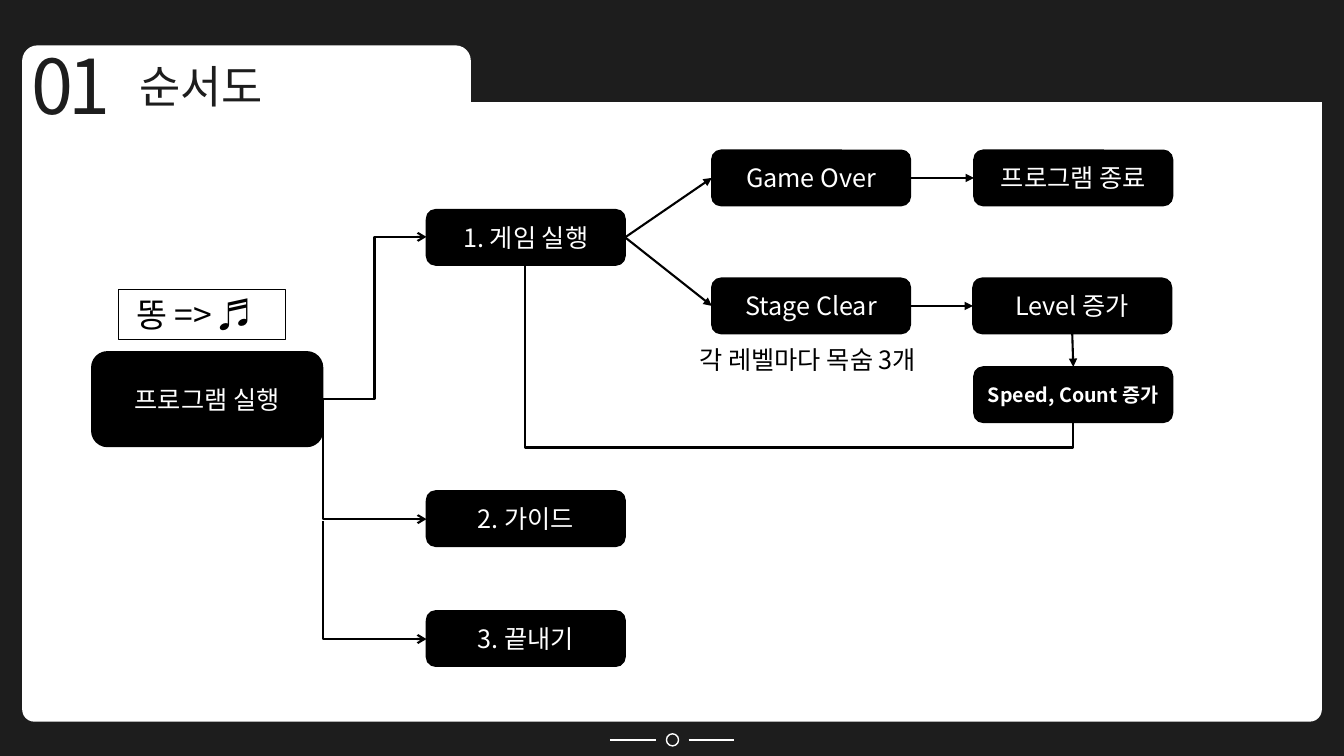
from lxml.etree import SubElement
from pptx import Presentation
from pptx.dml.color import RGBColor
from pptx.enum.shapes import MSO_CONNECTOR as LINK, MSO_SHAPE as SHAPE
from pptx.enum.text import MSO_ANCHOR as ANCHOR, MSO_AUTO_SIZE as FIT, PP_ALIGN as ALIGN
from pptx.oxml.ns import qn
from pptx.util import Inches, Pt

INK = RGBColor(0x1D, 0x1D, 0x1D)
BLACK = RGBColor(0, 0, 0)
WHITE = RGBColor(255, 255, 255)
FONT = "Noto Sans CJK KR"

# Content: name -> text, left, top
TITLE, NUMBER = "순서도", "01"
KEY = "똥 => ♬"
NOTE = "각 레벨마다 목숨 3개"
BOX_W, BOX_H = 1.97, 0.55
START = ("프로그램 실행", 0.91, 3.49, 2.29, 0.94)
STEPS = {
    "game": ("1. 게임 실행", 4.23, 2.08),
    "over": ("Game Over", 7.06, 1.49),
    "clear": ("Stage Clear", 7.06, 2.76),
    "level": ("Level 증가", 9.65, 2.76),
    "speed": ("Speed, Count 증가", 9.66, 3.64),
    "quit": ("프로그램 종료", 9.66, 1.49),
    "guide": ("2. 가이드", 4.23, 4.87),
    "end": ("3. 끝내기", 4.23, 6.06),
}
SMALL = {"speed": {"size": Pt(14), "bold": True}}
# Straight arrows: from, side, to, side (0 top, 1 left, 2 bottom, 3 right)
ARROWS = [
    ("game", 3, "over", 1),
    ("game", 3, "clear", 1),
    ("clear", 3, "level", 1),
    ("level", 2, "speed", 0),
    ("over", 3, "quit", 1),
]
# Elbows: start, end, preset, turn, bend, arrowhead
ELBOWS = [
    ((10.64, 4.19), (5.21, 2.63), "bentConnector3", 90, -0.16, None),
    ((3.2, 3.96), (4.23, 2.35), "bentConnector3", 0, 0.5, "arrow"),
    ((3.2, 3.97), (4.23, 5.15), "bentConnector2", 270, None, "arrow"),
    ((3.2, 5.17), (4.23, 6.34), "bentConnector2", 270, None, "arrow"),
]
# Frame: left, top, width, height, corner, fill
FRAME = [
    (0.22, 0.5, 12.89, 6.66, 0.018, WHITE),
    (3.75, 0.49, 9.48, 0.52, 0.048, INK),
    (0.22, 0.45, 4.45, 0.79, 0.192, WHITE),
]

deck = Presentation()
deck.slide_width, deck.slide_height = Inches(13.33), Inches(7.5)
slide = deck.slides.add_slide(deck.slide_layouts[5])
slide.background.fill.solid()
slide.background.fill.fore_color.rgb = INK
shapes = slide.shapes


def write(shape, text, align=ALIGN.LEFT, anchor=ANCHOR.TOP, wrap=True, **style):
    frame = shape.text_frame
    frame.auto_size = FIT.NONE
    frame.word_wrap, frame.vertical_anchor = wrap, anchor
    para = frame.paragraphs[0]
    para.alignment = align
    run = para.add_run()
    run.text = text
    font = run.font
    font.color.rgb = style.pop("color", BLACK)
    for key, value in {"name": FONT, "size": Pt(18), **style}.items():
        setattr(font, key, value)
    SubElement(font._element, qn("a:ea"), typeface=FONT)
    return font


def draw(kind, area, fill=None, line=None, width=1):
    shape = shapes.add_shape(kind, *map(Inches, area))
    shape.shadow.inherit = False
    if fill is None:
        shape.fill.background()
    else:
        shape.fill.solid()
        shape.fill.fore_color.rgb = fill
    if line is None:
        shape.line.fill.background()
    else:
        shape.line.color.rgb, shape.line.width = line, Pt(width)
    return shape


def link(kind, start, end, color=BLACK, width=1.5, head=None):
    line = shapes.add_connector(kind, *map(Inches, start + end))
    line.line.color.rgb, line.line.width = color, Pt(width)
    if head:
        SubElement(line.line._get_or_add_ln(), qn("a:tailEnd"), type=head)
    SubElement(line.element.spPr, qn("a:effectLst"))
    return line


# Frame and footer mark
for *area, corner, fill in FRAME:
    draw(SHAPE.ROUNDED_RECTANGLE, area, fill).adjustments[0] = corner
draw(SHAPE.OVAL, (6.61, 7.28, 0.12, 0.12), line=WHITE)
for left, right in [(6.05, 6.51), (6.83, 7.28)]:
    link(LINK.STRAIGHT, (left, 7.34), (right, 7.34), WHITE, 1)

# Title, brought in front of the frame
title = shapes.title
shapes.element.append(title.element)
for side, value in zip(("left", "top", "width", "height"), (1.28, 0.53, 1.55, 0.64)):
    setattr(title, side, Inches(value))
write(title, TITLE, wrap=False, size=Pt(32), color=INK)
number = shapes.add_textbox(*map(Inches, (0.21, 0.34, 1.06, 1.01)))
font = write(number, NUMBER, wrap=False, size=Pt(54), color=INK)
font._element.set("spc", "-300")

# Flow boxes
boxes = {}
for name, (text, *area) in {"start": START, **STEPS}.items():
    if len(area) == 2:
        area += [BOX_W, BOX_H]
    boxes[name] = draw(SHAPE.ROUNDED_RECTANGLE, area, BLACK, BLACK)
    write(boxes[name], text, ALIGN.CENTER, ANCHOR.MIDDLE, color=WHITE, **SMALL.get(name, {}))

# Straight arrows
for source, out, target, into in ARROWS:
    arrow = link(LINK.STRAIGHT, (0, 0), (1, 1), head="triangle")
    arrow.begin_connect(boxes[source], out)
    arrow.end_connect(boxes[target], into)

# Elbows: a turned one swaps width and height around its centre
for start, end, preset, turn, bend, head in ELBOWS:
    elbow = link(LINK.ELBOW, start, end, head=head)
    geom = elbow.element.spPr.find(qn("a:prstGeom"))
    geom.set("prst", preset)
    if bend is not None:
        SubElement(geom.find(qn("a:avLst")), qn("a:gd"), name="adj1", fmla=f"val {round(bend * 100000)}")
    if turn:
        (x1, y1), (x2, y2) = start, end
        wide, high = abs(y2 - y1), abs(x2 - x1)
        elbow.left, elbow.top = Inches((x1 + x2 - wide) / 2), Inches((y1 + y2 - high) / 2)
        elbow.width, elbow.height = Inches(wide), Inches(high)
        form = elbow.element.spPr.find(qn("a:xfrm"))
        for key, value in {"rot": turn * 60000, "flipH": 1, "flipV": 0}.items():
            form.set(key, str(value))

# Sound key and note
key = draw(SHAPE.RECTANGLE, (1.18, 2.87, 1.65, 0.5), line=BLACK, width=0.75)
write(key, KEY, ALIGN.CENTER, size=Pt(24))
key.text_frame.margin_right = Inches(0.25)
note = shapes.add_textbox(*map(Inches, (6.84, 3.37, 2.99, 0.4)))
write(note, NOTE)

deck.save("out.pptx")
